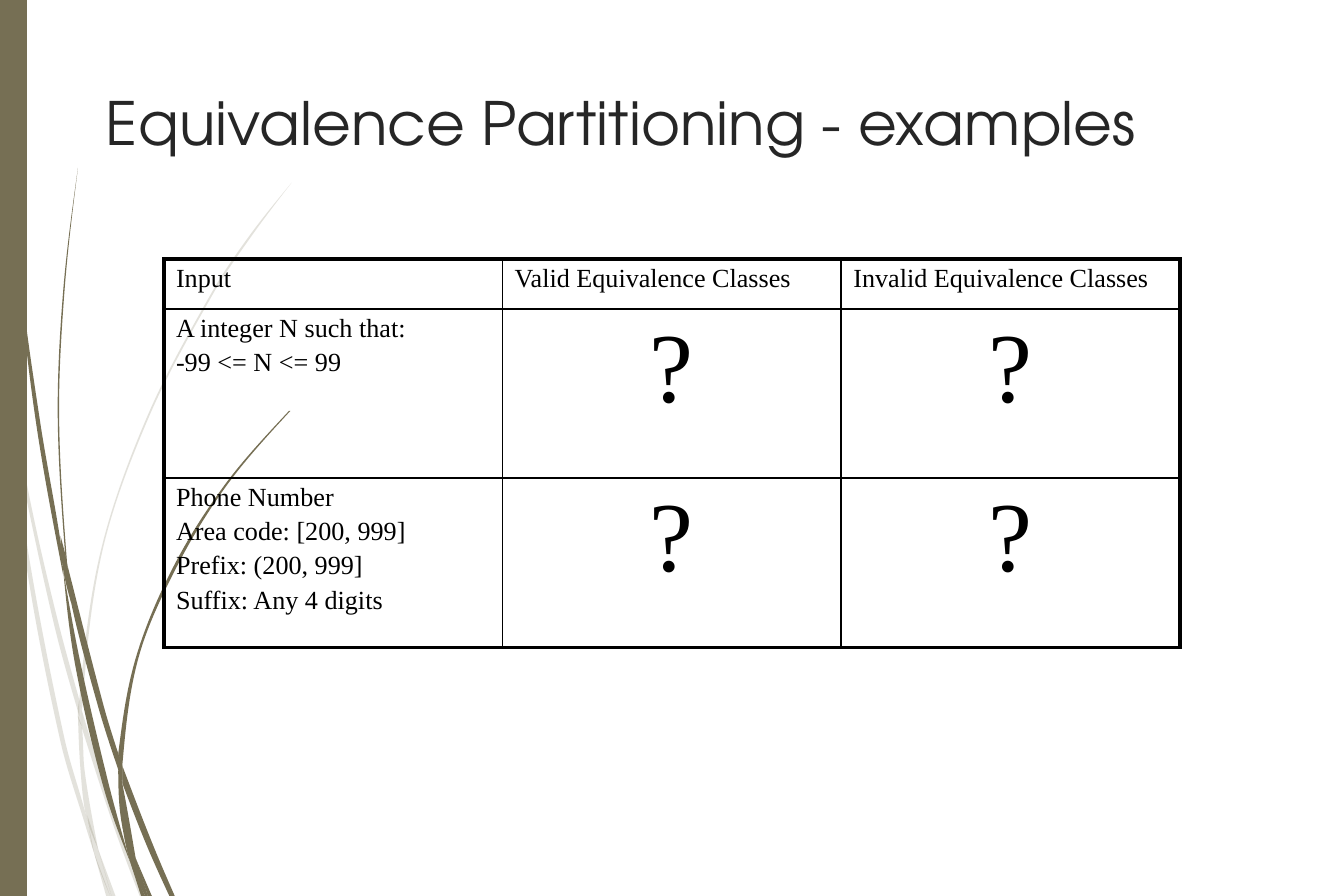
from dataclasses import dataclass

from lxml import etree
from pptx import Presentation
from pptx.dml.color import RGBColor
from pptx.enum.shapes import MSO_SHAPE
from pptx.enum.text import MSO_ANCHOR, PP_ALIGN
from pptx.oxml.ns import qn
from pptx.util import Inches, Pt

RECTANGLE = MSO_SHAPE.RECTANGLE
TOP = MSO_ANCHOR.TOP
LEFT, CENTER = PP_ALIGN.LEFT, PP_ALIGN.CENTER


@dataclass(frozen=True)
class Theme:
    """Colours, fonts, type sizes and line widths of the slide."""
    olive: str = "766F54"
    ink: str = "262626"
    black: str = "000000"
    title_font: str = "TeX Gyre Adventor"
    table_font: str = "Times New Roman"
    title_size: float = 32
    body_size: float = 14
    mark_size: float = 53
    line_gap: float = 2.8
    outer_line: float = 2.25
    inner_line: float = 1


THEME = Theme()
SLIDE_WIDTH, SLIDE_HEIGHT = 10, 6.67

PALE_BLADES = [
    ([(0, 2.5), (0.06, 2.86), (0.08, 3.11)], [(0, 2.66), (0.07, 3.06), (0.08, 3.11)]),
    ([(0.1, 3.07), (0.25, 3.85), (0.43, 4.62), (0.59, 5.21)],
     [(0.12, 3.34), (0.4, 4.64), (0.59, 5.33)]),
    ([(0.61, 5.29), (0.88, 6.15), (1.08, 6.67)],
     [(0.61, 5.42), (0.85, 6.16), (1.04, 6.67)]),
    ([(0.73, 6.32), (0.86, 6.67)], [(0.73, 6.32), (0.83, 6.67)]),
    ([(0.08, 3.11), (0.22, 4.17), (0.48, 5.5), (0.64, 6.07), (0.7, 6.35)],
     [(0.08, 3.11), (0.19, 4.17), (0.45, 5.52), (0.64, 6.16), (0.7, 6.35)]),
    ([(0.58, 5.33), (0.61, 5.42), (0.63, 5.74), (0.73, 6.32)],
     [(0.58, 5.33), (0.6, 5.74), (0.64, 6.07), (0.73, 6.32)]),
    ([(2.17, 1.36), (1.86, 1.75), (1.58, 2.17), (1.1, 3.09), (0.75, 4.1), (0.59, 5.21)],
     [(2.17, 1.36), (1.87, 1.76), (1.59, 2.18), (1.11, 3.1), (0.76, 4.11), (0.61, 5.29)]),
    ([(0.7, 6.35), (0.82, 6.67)], [(0.7, 6.35), (0.79, 6.67)]),
    ([(0.59, 5.21), (0.61, 5.3), (0.61, 5.43)], [(0.59, 5.21), (0.58, 5.33), (0.61, 5.41)]),
    ([(0.65, 6.07), (0.73, 6.32), (0.83, 6.67)],
     [(0.65, 6.07), (0.7, 6.35), (0.82, 6.67)]),
]

DARK_BLADES = [
    ([(0.03, 0), (0.06, 0.97), (0.15, 2.06), (0.3, 3.15), (0.45, 4.03), (0.47, 4.28)],
     [(0.02, 0), (0.05, 0.98), (0.14, 2.07), (0.27, 3.16), (0.47, 4.28)]),
    ([(0.5, 4.2), (0.77, 5.25), (0.88, 5.61)],
     [(0.5, 4.2), (0.53, 4.49), (0.73, 5.26), (0.88, 5.73)]),
    ([(0.91, 5.7), (1.13, 6.27), (1.3, 6.67)], [(0.91, 5.83), (1.09, 6.29), (1.26, 6.67)]),
    ([(0.47, 4.24), (0.6, 4.94), (0.81, 5.84), (0.97, 6.42)],
     [(0.47, 4.24), (0.56, 4.95), (0.77, 5.86), (0.97, 6.42)]),
    ([(0.58, 1.25), (0.48, 2.17), (0.44, 3.1), (0.5, 4.2)],
     [(0.58, 1.25), (0.47, 2.17), (0.43, 3.1), (0.49, 4.19)]),
    ([(1.01, 6.39), (1.13, 6.67)], [(1.01, 6.39), (1.1, 6.67)]),
    ([(0.45, 3.99), (0.5, 4.2), (0.53, 4.49)], [(0.45, 3.99), (0.47, 4.24), (0.53, 4.49)]),
    ([(2.16, 3.06), (1.69, 3.61), (1.31, 4.23), (1.03, 4.9), (0.91, 5.7)],
     [(2.15, 3.06), (1.68, 3.6), (1.29, 4.22), (1.01, 4.9), (0.88, 5.61)]),
    ([(0.97, 6.42), (1.08, 6.67)], [(0.97, 6.42), (1.05, 6.67)]),
    ([(0.88, 5.73), (0.91, 5.83), (1.01, 6.39)],
     [(0.88, 5.73), (0.91, 6.15), (1.01, 6.39)]),
    ([(0.88, 5.61), (0.91, 5.7), (0.91, 5.83)], [(0.88, 5.61), (0.88, 5.73), (0.91, 5.83)]),
    ([(0.91, 6.15), (1.01, 6.39), (1.1, 6.67)],
     [(0.91, 6.15), (0.97, 6.42), (1.08, 6.67)]),
]

TABLE_ROWS = [
    (["Input"], ["Valid Equivalence Classes"], ["Invalid Equivalence Classes"]),
    (["A integer N such that:", "-99 <= N <= 99"], ["?"], ["?"]),
    (["Phone Number", "Area code: [200, 999]", "Prefix: (200, 999]",
      "Suffix: Any 4 digits"], ["?"], ["?"]),
]


def apply_format(target, values):
    """Set every attribute named in a dict of format values."""
    for name, value in values.items():
        setattr(target, name, value)


def style_font(font, face, size, color):
    """Give a font its face, size and colour."""
    apply_format(font, {"name": face, "size": Pt(size), "bold": False})
    font.color.rgb = RGBColor.from_string(color)


def paint(shape, color, alpha=100):
    """Fill a shape without outline or shadow, at an opacity in percent."""
    shape.shadow.inherit = False
    shape.line.fill.background()
    shape.fill.solid()
    shape.fill.fore_color.rgb = RGBColor.from_string(color)
    if alpha < 100:
        tint = next(shape.fill._xPr.iter(qn("a:srgbClr")))
        etree.SubElement(tint, qn("a:alpha"), val=str(alpha * 1000))


def smooth_edge(knots):
    """Return the cubic control points of a smooth curve down through the knots."""
    chords = [(x1 - x0) / (y1 - y0) for (x0, y0), (x1, y1) in zip(knots, knots[1:])]
    slopes = [(x1 - x0) / (y1 - y0) for (x0, y0), (x1, y1) in zip(knots, knots[2:])]
    if slopes:
        slopes = [1.5 * chords[0] - slopes[0] / 2, *slopes,
                  1.5 * chords[-1] - slopes[-1] / 2]
    else:
        slopes = chords * 2
    points = [knots[0]]
    for i, ((x0, y0), (x1, y1)) in enumerate(zip(knots, knots[1:])):
        third = (y1 - y0) / 3
        points += [(x0 + slopes[i] * third, y0 + third),
                   (x1 - slopes[i + 1] * third, y1 - third), (x1, y1)]
    return points


def bend_segments(shape, straight_index):
    """Join line segments in threes into cubic curves, skipping a straight one."""
    lines = list(shape._element.iter(qn("a:lnTo")))
    del lines[straight_index]
    for start in range(0, len(lines) - 2, 3):
        curve = etree.Element(qn("a:cubicBezTo"))
        lines[start].addprevious(curve)
        for line in lines[start:start + 3]:
            curve.append(line[0])
            line.getparent().remove(line)


def add_grass(slide, left, top, blades, alpha):
    """Draw one tuft of blades, each bounded by two smooth edges."""
    tuft = slide.shapes.add_group_shape()
    for right_edge, left_edge in blades:
        down, up = smooth_edge(right_edge), smooth_edge(left_edge)[::-1]
        points = [(Inches(left + x), Inches(top + y)) for x, y in down + up]
        builder = tuft.shapes.build_freeform(*points[0])
        builder.add_line_segments(points[1:], close=True)
        blade = builder.convert_to_shape()
        bend_segments(blade, len(down) - 1)
        paint(blade, THEME.olive, alpha)


def add_side_band(slide, left, top, width, height):
    """Draw the solid band along the slide edge."""
    box = map(Inches, (left, top, width, height))
    paint(slide.shapes.add_shape(RECTANGLE, *box), THEME.olive)


def add_title(slide, left, top, width, height):
    """Place the slide heading."""
    heading = slide.shapes.add_textbox(*map(Inches, (left, top, width, height)))
    apply_format(heading.text_frame, {"word_wrap": True, "vertical_anchor": TOP})
    paragraph = heading.text_frame.paragraphs[0]
    paragraph.text = "Equivalence Partitioning - examples"
    style_font(paragraph.font, THEME.title_font, THEME.title_size, THEME.ink)


def set_borders(cell, outer_sides):
    """Rule a cell, with heavier lines on the outer sides."""
    properties = cell._tc.get_or_add_tcPr()
    for position, side in enumerate("LRTB"):
        weight = THEME.outer_line if side in outer_sides else THEME.inner_line
        rule = etree.Element(qn(f"a:ln{side}"), w=str(Pt(weight)))
        fill = etree.SubElement(rule, qn("a:solidFill"))
        etree.SubElement(fill, qn("a:srgbClr"), val=THEME.black)
        properties.insert(position, rule)


def fill_cell(cell, lines):
    """Write the lines of a cell, with question marks large and centred."""
    apply_format(cell, {"margin_left": Inches(0.09), "margin_right": Inches(0.09),
                        "margin_top": Inches(0.04), "margin_bottom": Inches(0.04)})
    cell.fill.background()
    cell.text = "\n".join(lines)
    is_mark = lines == ["?"]
    size = THEME.mark_size if is_mark else THEME.body_size
    for index, paragraph in enumerate(cell.text_frame.paragraphs):
        paragraph.alignment = CENTER if is_mark else LEFT
        paragraph.space_before = Pt(THEME.line_gap if index else 0)
        style_font(paragraph.font, THEME.table_font, size, THEME.black)


def add_class_table(slide, left, top, width, height):
    """Place the table of inputs and their equivalence classes."""
    last_row, last_column = len(TABLE_ROWS) - 1, len(TABLE_ROWS[0]) - 1
    box = map(Inches, (left, top, width, height))
    table = slide.shapes.add_table(last_row + 1, last_column + 1, *box).table
    apply_format(table, {"first_row": False, "horz_banding": False})
    header_height = 0.37
    body_height = (height - header_height) / last_row
    for r, row in enumerate(TABLE_ROWS):
        table.rows[r].height = Inches(body_height if r else header_height)
        for c, lines in enumerate(row):
            fill_cell(table.cell(r, c), lines)
            edges = {"L": c == 0, "R": c == last_column, "T": r == 0, "B": r == last_row}
            set_borders(table.cell(r, c), [side for side in edges if edges[side]])


def main():
    """Build the slide and save it."""
    deck = Presentation()
    apply_format(deck, {"slide_width": Inches(SLIDE_WIDTH),
                        "slide_height": Inches(SLIDE_HEIGHT)})
    slide = deck.slides.add_slide(deck.slide_layouts[6])
    add_grass(slide, 0, 0, PALE_BLADES, 20)
    add_grass(slide, 0, 0, DARK_BLADES, 100)
    add_side_band(slide, 0, 0, 0.2, SLIDE_HEIGHT)
    add_title(slide, 0.69, 0.59, 8.82, 0.7)
    add_class_table(slide, 1.22, 1.93, 7.56, 2.89)
    deck.save("out.pptx")


if __name__ == "__main__":
    main()
